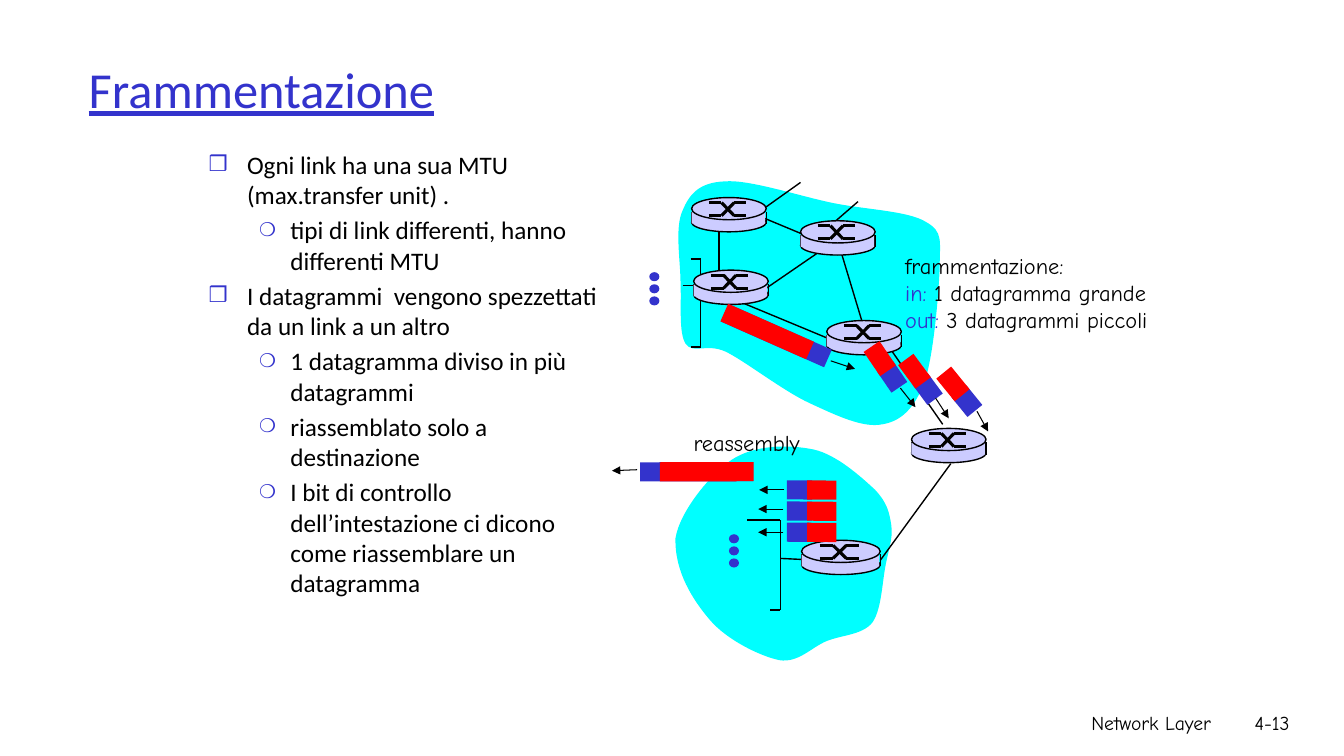
import math

from lxml import etree
from pptx import Presentation
from pptx.dml.color import RGBColor
from pptx.enum import shapes as kinds, text
from pptx.oxml import ns
from pptx.util import Cm, Pt

BLACK = RGBColor(0x00, 0x00, 0x00)
BLUE = RGBColor(0x33, 0x33, 0xCC)
RED = RGBColor(0xFF, 0x00, 0x00)
CYAN = RGBColor(0x00, 0xFF, 0xFF)
LILAC = RGBColor(0xCC, 0xCC, 0xFF)
BODY_FONT = "Calibri"
LABEL_FONT = "Comic Neue"
RECTANGLE = kinds.MSO_SHAPE.RECTANGLE
OVAL = kinds.MSO_SHAPE.OVAL

BULLETS = [
    (0, "Ogni link ha una sua MTU (max.transfer unit) ."),
    (1, "tipi di link differenti, hanno differenti MTU"),
    (0, "I datagrammi  vengono spezzettati da un link a un altro"),
    (1, "1 datagramma diviso in più datagrammi"),
    (1, "riassemblato solo a destinazione"),
    (1, "I bit di controllo dell’intestazione ci dicono come riassemblare un datagramma"),
]
# Per level: bullet sign, size in percent, left margin, hanging indent
BULLET_STYLES = [("❒", 85, 0.38, 0.38), ("❍", 75, 0.81, 0.31)]

# Bezier outlines: a start point, then two controls and an end per curve
UPPER_CLOUD = [
    (7.19, 1.8), (6.94, 1.81), (6.84, 1.92), (6.77, 2.09), (6.69, 2.26), (6.75, 2.59),
    (6.75, 2.81), (6.76, 3.03), (6.73, 3.3), (6.8, 3.41), (6.88, 3.52), (7, 3.4),
    (7.2, 3.49), (7.4, 3.59), (7.77, 3.88), (8.03, 4), (8.29, 4.12), (8.56, 4.25),
    (8.75, 4.21), (8.94, 4.18), (9.07, 4.05), (9.17, 3.79), (9.26, 3.53), (9.31, 2.92),
    (9.32, 2.66), (9.32, 2.39), (9.36, 2.3), (9.18, 2.2), (9, 2.09), (8.57, 2.08),
    (8.24, 2.01), (7.91, 1.94), (7.43, 1.78), (7.19, 1.8)]
LOWER_CLOUD = [
    (6.7, 5.34), (6.74, 5.08), (7.04, 4.71), (7.26, 4.56), (7.49, 4.41), (7.83, 4.41),
    (8.07, 4.46), (8.3, 4.51), (8.55, 4.74), (8.68, 4.86), (8.8, 4.99), (8.82, 5.08),
    (8.84, 5.21), (8.86, 5.34), (8.81, 5.46), (8.78, 5.63), (8.75, 5.79), (8.74, 6.06),
    (8.65, 6.18), (8.55, 6.3), (8.35, 6.3), (8.2, 6.36), (8.05, 6.42), (7.92, 6.58),
    (7.73, 6.55), (7.54, 6.51), (7.21, 6.35), (7.04, 6.15), (6.87, 5.95), (6.69, 5.67),
    (6.7, 5.34)]
LINKS = [
    (6.77, 2.83, 6.91, 2.83), (7.4, 2.09, 8.12, 2.39), (8.33, 2.46, 8.55, 3.19),
    (7.13, 2.21, 7.13, 2.85), (7.16, 2.92, 8.22, 3.36), (9.35, 4.21, 8.83, 3.46),
    (8.24, 2.42, 7.41, 2.99), (7.94, 1.81, 7.42, 2.18), (8.51, 2, 8.21, 2.26),
    (7.74, 5.54, 7.95, 5.55), (9.43, 4.6, 8.73, 5.56)]
ROUTERS = [(6.86, 1.96, 0.74), (6.88, 2.68, 0.74), (7.94, 2.19, 0.74),
           (8.2, 3.18, 0.74), (7.95, 5.36, 0.78), (9.04, 4.25, 0.74)]
# Centre of the header and heading in degrees
FRAGMENTS = [(8.85, 3.74, 55.8), (9.2, 3.86, 53.6), (9.59, 3.98, 50.9),
             (7.93, 4.86, 180.4), (7.93, 5.07, 180.4), (7.93, 5.28, 180.4)]
DATAGRAMS = [(7.7, 3.33, 23.9), (6.91, 4.68, 179.9)]
ARROWS = [
    (8.24, 3.58, 8.48, 3.66), (8.93, 3.85, 9.08, 4.04), (9.28, 3.95, 9.41, 4.15),
    (9.69, 4.08, 9.8, 4.28), (7.78, 4.86, 7.53, 4.86), (7.77, 5.05, 7.52, 5.05),
    (7.77, 5.28, 7.52, 5.28), (6.32, 4.66, 6.07, 4.67)]


def inch(value):
    return Cm(value * 2.54)


def place(box, left, top, width, height):
    box.left, box.top, box.width, box.height = map(inch, (left, top, width, height))


def set_font(font, name, size, color):
    font.name, font.size = name, Pt(size)
    font.color.rgb = color


def add_line(shapes, x1, y1, x2, y2, weight=1, arrow=False):
    line = shapes.add_connector(kinds.MSO_CONNECTOR.STRAIGHT, *map(inch, (x1, y1, x2, y2)))
    line.line.color.rgb = BLACK
    line.line.width = Pt(weight)
    if arrow:
        etree.SubElement(line.line._get_or_add_ln(), ns.qn("a:tailEnd"), type="triangle")
    etree.SubElement(line._element.spPr, ns.qn("a:effectLst"))


def paint(shape, color, outlined=False):
    shape.shadow.inherit = False
    shape.fill.solid()
    shape.fill.fore_color.rgb = color
    if outlined:
        shape.line.color.rgb = BLACK
        shape.line.width = Pt(1)
    else:
        shape.line.fill.background()


def add_form(shapes, kind, left, top, width, height, color, outlined=False):
    form = shapes.add_shape(kind, *map(inch, (left, top, width, height)))
    paint(form, color, outlined)
    return form


def add_cloud(shapes, outline):
    """Draw the outline's points as segments, then join each three into one curve."""
    start, *others = [tuple(map(inch, point)) for point in outline]
    builder = shapes.build_freeform(*start)
    builder.add_line_segments(others, close=True)
    cloud = builder.convert_to_shape()
    segments = list(cloud._element.iter(ns.qn("a:lnTo")))
    for index in range(0, len(segments), 3):
        first, *rest = segments[index:index + 3]
        first.tag = ns.qn("a:cubicBezTo")
        for segment in rest:
            first.append(segment[0])
            segment.getparent().remove(segment)
    paint(cloud, CYAN)


def add_router(page, left, top, width):
    shapes = page.shapes.add_group_shape().shapes
    add_form(shapes, OVAL, left, top + 0.15, width, 0.19, LILAC, True)
    for side in (left, left + width):
        add_line(shapes, side, top + 0.14, side, top + 0.26)
    add_form(shapes, RECTANGLE, left, top + 0.14, width - 0.01, 0.12, LILAC)
    add_form(shapes, OVAL, left, top, width, 0.22, LILAC, True)
    x1, x2, x3, x4 = (left + width * part for part in (0.23, 0.4, 0.57, 0.73))
    for start, end in ((top + 0.05, top + 0.18), (top + 0.18, top + 0.05)):
        add_line(shapes, x1, start, x2, start, 2.25)
        add_line(shapes, x2, start, x3, end, 2.25)
        add_line(shapes, x3, end, x4, end, 2.25)


def add_packet(page, x, y, angle, header, payload, offset):
    """Blue header centred at x, y; red payload lies offset behind its heading."""
    shapes = page.shapes.add_group_shape().shapes
    turn = math.radians(angle)
    for width, back, color in ((header, 0, BLUE), (payload, offset, RED)):
        center_x, center_y = x - back * math.cos(turn), y - back * math.sin(turn)
        part = add_form(shapes, RECTANGLE, center_x - width / 2, center_y - 0.095,
                        width, 0.19, color)
        part.rotation = angle


def add_dots(page, left, top):
    shapes = page.shapes.add_group_shape().shapes
    for row in range(3):
        add_form(shapes, OVAL, left, top + row * 0.12, 0.1, 0.09, BLUE)


def add_label(page, left, top, width, height, lines, size, align=text.PP_ALIGN.LEFT):
    """Each line is a list of (text, color) spans."""
    frame = page.shapes.add_textbox(*map(inch, (left, top, width, height))).text_frame
    frame.word_wrap = True
    for index, spans in enumerate(lines):
        para = frame.paragraphs[0] if index == 0 else frame.add_paragraph()
        para.alignment = align
        set_font(para.font, LABEL_FONT, size, BLACK)
        for words, color in spans:
            span = para.add_run()
            span.text = words
            if color != BLACK:
                span.font.color.rgb = color


def fill_title(title):
    place(title, 0.78, 0.25, 11.33, 1.25)
    title.text_frame.text = "Frammentazione"
    title.text_frame.vertical_anchor = text.MSO_ANCHOR.MIDDLE
    para = title.text_frame.paragraphs[0]
    para.alignment = text.PP_ALIGN.LEFT
    set_font(para.font, BODY_FONT, 36, BLUE)
    para.font.underline = True


def fill_body(body):
    place(body, 1.97, 1.43, 4.17, 5.08)
    frame = body.text_frame
    frame.auto_size = text.MSO_AUTO_SIZE.NONE
    for index, (level, words) in enumerate(BULLETS):
        para = frame.paragraphs[0] if index == 0 else frame.add_paragraph()
        para.text, para.level = words, level
        para.space_before = Pt(3.6 if index else 0)
        sign, percent, margin, hanging = BULLET_STYLES[level]
        props = para._p.get_or_add_pPr()
        props.set("marL", str(inch(margin)))
        props.set("indent", str(-inch(hanging)))
        color = etree.SubElement(props, ns.qn("a:buClr"))
        etree.SubElement(color, ns.qn("a:srgbClr"), val=str(BLUE))
        etree.SubElement(props, ns.qn("a:buSzPct"), val=str(percent * 1000))
        etree.SubElement(props, ns.qn("a:buChar"), char=sign)
        set_font(para.font, BODY_FONT, 18, BLACK)


def add_network(page):
    for cloud in (UPPER_CLOUD, LOWER_CLOUD):
        add_cloud(page.shapes, cloud)
    for left, inner, right, top, bottom in ((6.85, 6.85, 6.95, 2.57, 3.44),
                                            (7.41, 7.64, 7.74, 5.16, 6.05)):
        add_line(page.shapes, left, top, right, top, 1.5)
        add_line(page.shapes, inner, bottom, right, bottom, 1.5)
        add_line(page.shapes, right, top, right, bottom)
    add_dots(page, 6.44, 2.7)
    add_dots(page, 7.23, 5.3)
    for link in LINKS:
        add_line(page.shapes, *link)
    for router in ROUTERS:
        add_router(page, *router)
    for datagram in DATAGRAMS:
        add_packet(page, *datagram, 1.12, 0.93, 0.1)
    for fragment in FRAGMENTS:
        add_packet(page, *fragment, 0.25, 0.29, 0.22)
    for arrow in ARROWS:
        add_line(page.shapes, *arrow, 0.75, arrow=True)


def main():
    deck = Presentation()
    deck.slide_width, deck.slide_height = inch(13.33), inch(7.5)
    page = deck.slides.add_slide(deck.slide_layouts[1])
    fill_title(page.shapes.title)
    fill_body(page.placeholders[1])
    add_network(page)
    add_label(page, 8.88, 2.45, 2.82, 0.91, [
        [("frammentazione:", BLACK)],
        [("in:", BLUE), (" 1 datagramma grande", BLACK)],
        [("out:", BLUE), (" 3 datagrammi piccoli", BLACK)]], 16)
    add_label(page, 6.78, 4.21, 1.38, 0.37, [[("reassembly", BLACK)]], 16)
    right = text.PP_ALIGN.RIGHT
    add_label(page, 7.89, 7, 4.22, 0.5, [[("Network Layer", BLACK)]], 14, right)
    add_label(page, 11.9, 7, 0.99, 0.5, [[("4-13", BLACK)]], 14, right)
    deck.save("out.pptx")


if __name__ == "__main__":
    main()
